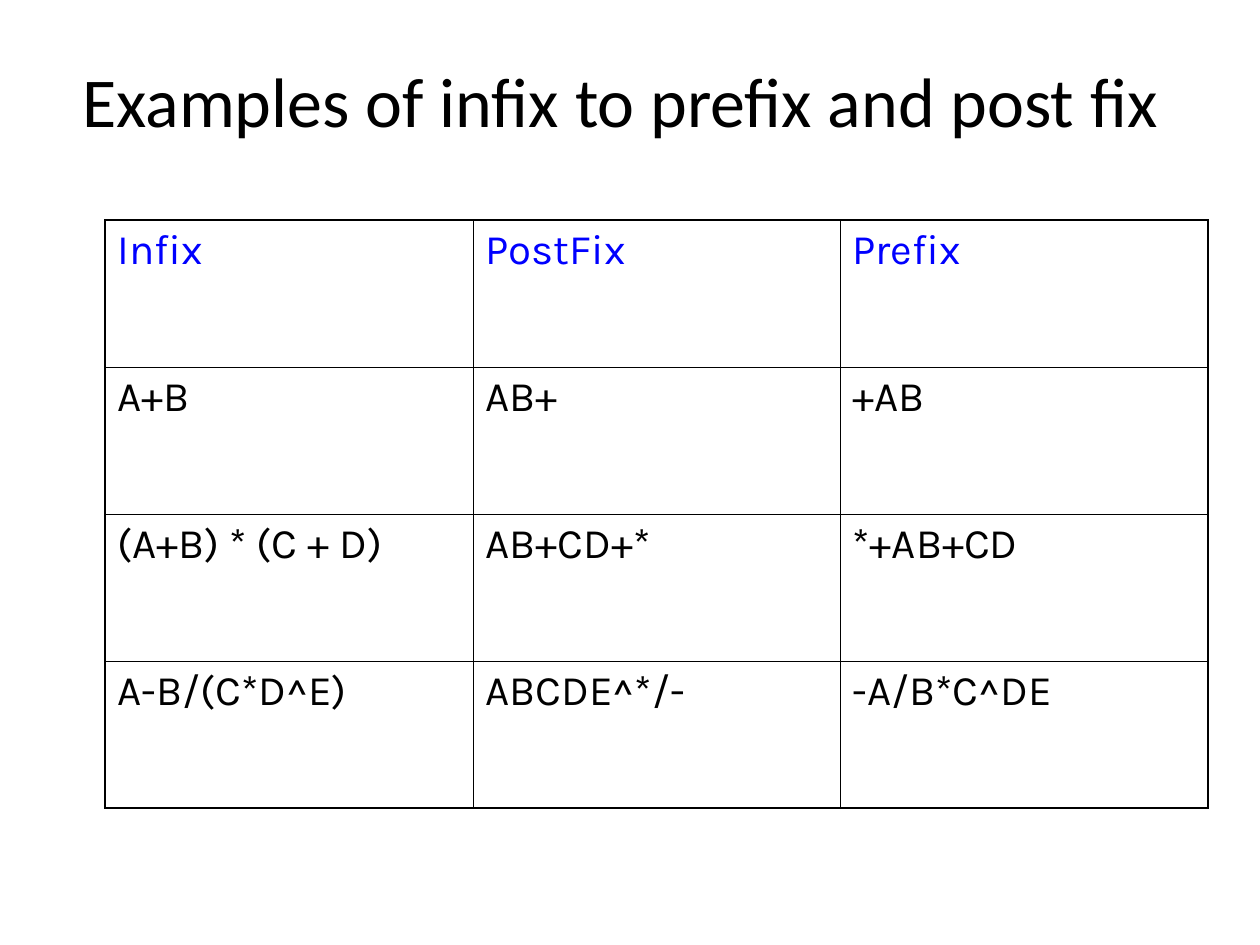
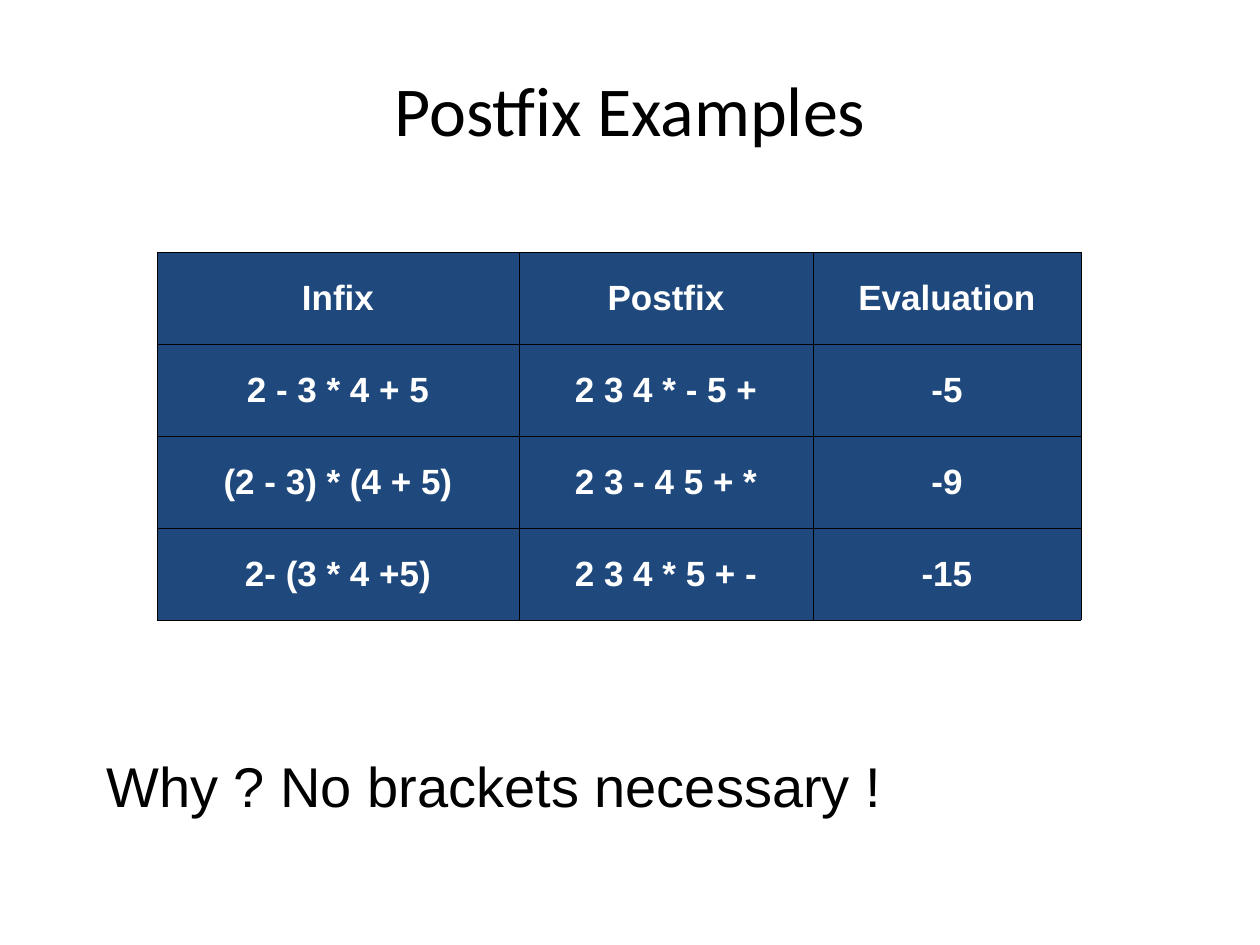
from lxml import etree
from pptx import Presentation
from pptx.dml.color import RGBColor
from pptx.enum.text import MSO_ANCHOR, PP_ALIGN
from pptx.oxml.ns import qn
from pptx.util import Emu, Pt

LEFT, CENTER = PP_ALIGN.LEFT, PP_ALIGN.CENTER
TOP, MIDDLE = MSO_ANCHOR.TOP, MSO_ANCHOR.MIDDLE

EMU_PER_PX = 914400 / 126
COLORS = {"text": "000000", "header": "0000FF", "line": "000000",
          "panel": "1F497D", "on_panel": "FFFFFF"}


def px(length):
    return Emu(round(length * EMU_PER_PX))


class Page:
    """Holds the shared style and the current slide."""
    title_font, title_size = "Calibri", 40
    body_font, body_size = "Arial", 32

    def __init__(self, deck):
        self.deck = deck
        self.slide = deck.slides.add_slide(deck.slide_layouts[6])

    def add_span(self, frame, text, font, size, color, align=LEFT, bold=False):
        para = frame.paragraphs[0]
        para.alignment = align
        span = para.add_run()
        span.text = text
        span.font.name = font
        span.font.size = Pt(size)
        span.font.bold = bold
        span.font.color.rgb = RGBColor.from_string(COLORS[color])

    def text(self, area, text, font, size, align=LEFT, anchor=TOP):
        box = self.slide.shapes.add_textbox(*map(px, area))
        frame = box.text_frame
        frame.word_wrap = True
        frame.vertical_anchor = anchor
        self.add_span(frame, text, font, size, "text", align)

    def title(self, area, text):
        self.text(area, text, self.title_font, self.title_size, CENTER, MIDDLE)

    def body(self, area, text):
        self.text(area, text, self.body_font, self.body_size)

    def border(self, cell, side, points):
        line = etree.SubElement(cell._tc.get_or_add_tcPr(), qn(f"a:ln{side}"),
                                w=str(Pt(points)))
        fill = etree.SubElement(line, qn("a:solidFill"))
        etree.SubElement(fill, qn("a:srgbClr"), val=COLORS["line"])

    def table(self, left, top, widths, row_height, rows, font, size, colors,
              outer, inner, fill=None, align=LEFT, anchor=TOP, bold=False):
        """colors gives the text colour of the header row and of the others."""
        last_row, last_column = len(rows) - 1, len(widths) - 1
        frame = self.slide.shapes.add_table(
            len(rows), len(widths), px(left), px(top),
            px(sum(widths)), px(row_height * len(rows)))
        table = frame.table
        table.first_row = table.horz_banding = False
        for column, width in zip(table.columns, widths):
            column.width = px(width)
        for r, row in enumerate(rows):
            table.rows[r].height = px(row_height)
            for c, text in enumerate(row):
                cell = table.cell(r, c)
                cell.vertical_anchor = anchor
                # Borders come before the fill in the cell properties
                edges = {"L": c == 0, "R": c == last_column,
                         "T": r == 0, "B": r == last_row}
                for side, outside in edges.items():
                    self.border(cell, side, outer if outside else inner)
                if fill:
                    cell.fill.solid()
                    cell.fill.fore_color.rgb = RGBColor.from_string(COLORS[fill])
                else:
                    cell.fill.background()
                self.add_span(cell.text_frame, text, font, size,
                              colors[min(r, 1)], align, bold)


def notation_slide(deck):
    page = Page(deck)
    page.title((53, 42, 1134, 116), "Examples of infix to prefix and post fix")
    notations = [
        ("Infix", "PostFix", "Prefix"),
        ("A+B", "AB+", "+AB"),
        ("(A+B) * (C + D)", "AB+CD+*", "*+AB+CD"),
        ("A-B/(C*D^E)", "ABCDE^*/-", "-A/B*C^DE"),
    ]
    page.table(105, 220, (368, 367, 368), 147, notations, "Karla", 24,
               ("header", "text"), outer=1.08, inner=0.45)


def evaluation_slide(deck):
    page = Page(deck)
    page.title((63, 81, 1134, 55), "Postfix Examples")
    evaluations = [
        ("Infix", "Postfix", "Evaluation"),
        ("2 - 3 * 4 + 5", "2 3 4 * - 5 +", "-5"),
        ("(2 - 3) * (4 + 5)", "2 3 - 4 5 + *", "-9"),
        ("2- (3 * 4 +5)", "2 3 4 * 5 + -", "-15"),
    ]
    page.table(157, 252, (362, 294, 268), 92, evaluations, "Arial", 20,
               ("on_panel", "on_panel"), outer=0.34, inner=0.34,
               fill="panel", align=CENTER, anchor=MIDDLE, bold=True)
    page.body((94, 745, 1166, 78), "Why ? No brackets necessary !")


def main():
    deck = Presentation()
    deck.slide_width, deck.slide_height = px(1260), px(945)
    notation_slide(deck)
    evaluation_slide(deck)
    deck.save("out.pptx")


if __name__ == "__main__":
    main()
